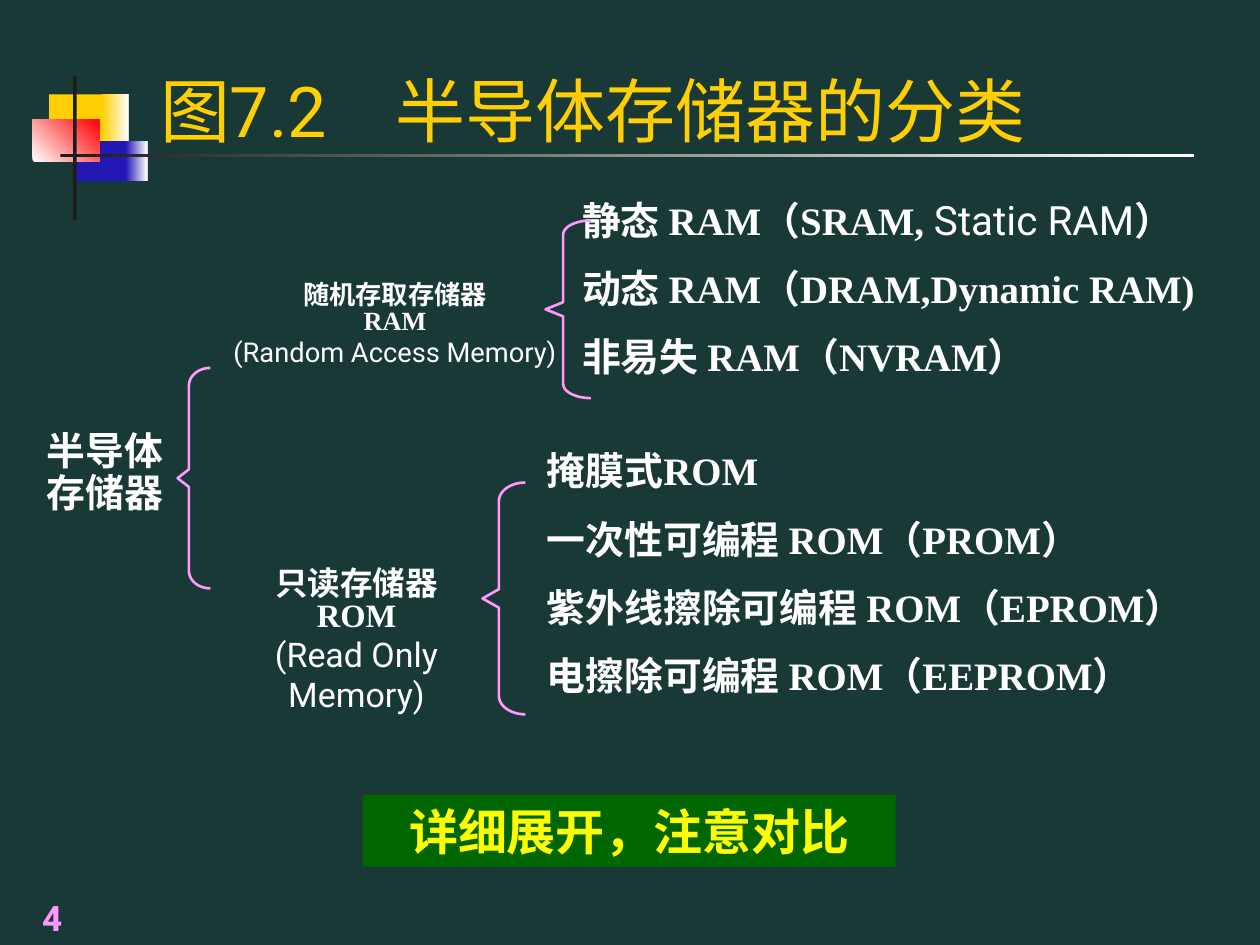
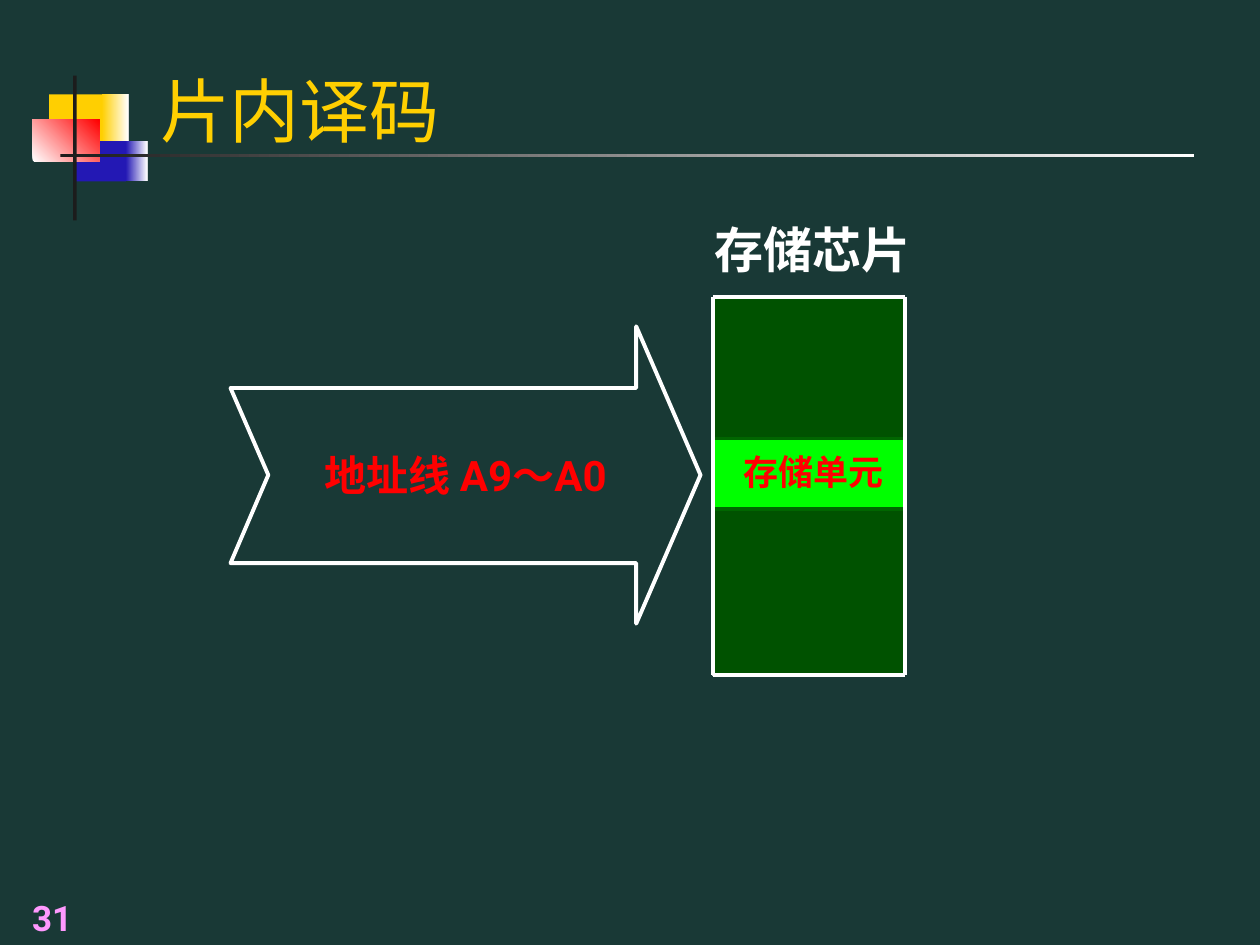
from dataclasses import dataclass
from math import cos, pi, sin
from typing import NamedTuple

from lxml.etree import SubElement
from pptx import Presentation
from pptx.dml.color import RGBColor
from pptx.enum.shapes import MSO_CONNECTOR, MSO_SHAPE
from pptx.enum.text import MSO_ANCHOR, MSO_AUTO_SIZE, PP_ALIGN
from pptx.oxml.ns import qn
from pptx.util import Inches, Pt

BACKGROUND = "193936"
GOLD = "FFCF01"
BLUE = "2318B4"
RED = "FF0000"
BLACK = "1C1C1C"
WHITE = "FFFFFF"
PINK = "FF99FF"
YELLOW = "FFFF00"
GREEN = "006600"
CHIP_GREEN = "005200"
CELL_GREEN = "00FF00"

SANS = "Roboto"
SERIF = "Times New Roman"
CHINESE = "Noto Sans CJK SC"
DEFAULT_INSETS = (0.1, 0.05)
TIGHT_INSETS = (0.01, 0.01)


class Box(NamedTuple):
    left: float
    top: float
    width: float
    height: float

    def lengths(self):
        return [Inches(value) for value in self]


@dataclass
class Band:
    box: Box
    start: str
    end: str = ""
    angle: float = 0


@dataclass
class Brace:
    tip: float
    spine: float
    right: float
    top: float
    bottom: float


@dataclass
class Category:
    box: Box
    chinese: tuple
    size: float
    english: str = ""
    english_size: float = 0
    line_spacing: float = 0.8


@dataclass
class Listing:
    box: Box
    items: tuple


BANDS = (
    Band(Box(0.39, 0.75, 0.46, 0.37), GOLD),
    Band(Box(0.81, 0.75, 0.21, 0.37), GOLD, WHITE),
    Band(Box(0.59, 1.12, 0.41, 0.32), BLUE),
    Band(Box(1, 1.12, 0.17, 0.32), BLUE, WHITE),
    Band(Box(0.26, 0.95, 0.53, 0.33), WHITE, RED, 45),
    Band(Box(0.58, 0.6, 0.03, 1.15), BLACK),
    Band(Box(0.48, 1.22, 9, 0.03), BLACK, WHITE),
)

BRACES = (
    Brace(1.41, 1.5, 1.67, 2.92, 4.67),
    Brace(3.83, 3.96, 4.17, 3.83, 5.67),
    Brace(4.33, 4.47, 4.69, 1.75, 3.16),
)

CATEGORIES = (
    Category(Box(0, 3.42, 1.67, 0.81), ("半导体", "存储器"), 22.2, line_spacing=0.9),
    Category(Box(1.92, 4.52, 1.82, 1.35), ("只读存储器", "ROM"), 18.6,
             "(Read Only Memory)", 19.4),
    Category(Box(1.83, 2.25, 2.61, 1.19), ("随机存取存储器", "RAM"), 15,
             "(Random Access Memory)", 15.6),
)

# An item is a sequence of (text, is_plain) runs.
LISTINGS = (
    Listing(Box(4.61, 1.58, 5.39, 1.85), (
        (("静态 RAM（SRAM, ", False), ("Static RAM", True), ("）", False)),
        (("动态 RAM（DRAM,Dynamic RAM)", False),),
        (("非易失 RAM（NVRAM）", False),),
    )),
    Listing(Box(4.33, 3.58, 5.67, 2.11), (
        (("掩膜式ROM", False),),
        (("一次性可编程 ROM（PROM）", False),),
        (("紫外线擦除可编程 ROM（EPROM）", False),),
        (("电擦除可编程 ROM（EEPROM）", False),),
    )),
)


def rgb(color: str) -> RGBColor:
    return RGBColor.from_string(color)


def write(paragraph, text: str, *, size: float, color: str = WHITE, font: str = SANS,
          bold: bool = True, align=PP_ALIGN.LEFT, line_spacing: float = 1,
          space_before: float = 0) -> None:
    """Append a formatted run and set the format of its paragraph."""
    paragraph.alignment = align
    paragraph.line_spacing = line_spacing
    paragraph.space_before = Pt(space_before)
    run = paragraph.add_run()
    run.text = text
    run.font.size = Pt(size)
    run.font.bold = bold
    run.font.name = font
    run.font.color.rgb = rgb(color)
    SubElement(run.font._element, qn("a:ea")).set("typeface", CHINESE)


def next_paragraph(frame):
    first = frame.paragraphs[0]
    return frame.add_paragraph() if first.runs else first


def set_frame(frame, insets=DEFAULT_INSETS, anchor=MSO_ANCHOR.TOP, wrap: bool = True) -> None:
    frame.margin_left = frame.margin_right = Inches(insets[0])
    frame.margin_top = frame.margin_bottom = Inches(insets[1])
    frame.vertical_anchor = anchor
    frame.word_wrap = wrap
    frame.auto_size = MSO_AUTO_SIZE.NONE


def add_text_frame(slide, box: Box, **layout):
    frame = slide.shapes.add_textbox(*box.lengths()).text_frame
    set_frame(frame, **layout)
    return frame


def add_rectangle(slide, box: Box, color: str, line: str = ""):
    shape = slide.shapes.add_shape(MSO_SHAPE.RECTANGLE, *box.lengths())
    shape.shadow.inherit = False
    shape.fill.solid()
    shape.fill.fore_color.rgb = rgb(color)
    if line:
        shape.line.color.rgb = rgb(line)
        shape.line.width = Pt(0.75)
    else:
        shape.line.fill.background()
    return shape


def add_band(slide, band: Band) -> None:
    shape = add_rectangle(slide, band.box, band.start)
    if band.end:
        shape.fill.gradient()
        shape.fill.gradient_angle = band.angle
        for stop, color, position in zip(shape.fill.gradient_stops,
                                         (band.start, band.end), (0, 1)):
            stop.color.rgb = rgb(color)
            stop.position = position


def add_outline(slide, points: list, color: str, width: float, close: bool):
    """Draw an unfilled outline through points given in inches."""
    vertices = [(Inches(x), Inches(y)) for x, y in points]
    builder = slide.shapes.build_freeform(*vertices[0])
    builder.add_line_segments(vertices[1:], close=close)
    shape = builder.convert_to_shape()
    shape.shadow.inherit = False
    shape.fill.background()
    shape.line.color.rgb = rgb(color)
    shape.line.width = Pt(width)
    return shape


def add_line(slide, start: tuple, end: tuple, color: str) -> None:
    line = slide.shapes.add_connector(
        MSO_CONNECTOR.STRAIGHT, *(Inches(value) for value in start + end))
    line.line.color.rgb = rgb(color)
    line.line.width = Pt(2.25)
    SubElement(line._element.spPr, qn("a:effectLst"))


def add_brace(slide, brace: Brace, steps: int = 12) -> None:
    """Draw a left brace: quarter ellipses at both ends and a notch in the middle."""
    arc_width = brace.right - brace.spine
    arc_height = 0.08 * (brace.bottom - brace.top)
    middle = (brace.top + brace.bottom) / 2
    angles = [pi / 2 * step / steps for step in range(steps + 1)]
    upper = [(brace.right - arc_width * sin(angle),
              brace.top + arc_height * (1 - cos(angle))) for angle in angles]
    upper.append((brace.spine, middle - arc_height / 2))
    lower = [(x, 2 * middle - y) for x, y in reversed(upper)]
    add_outline(slide, upper + [(brace.tip, middle)] + lower, PINK, 1.5, close=False)


def add_base_slide(presentation, number: int):
    """Add a slide with the shared bands, page number and an empty title."""
    slide = presentation.slides.add_slide(presentation.slide_layouts[5])
    for band in BANDS:
        add_band(slide, band)
    frame = add_text_frame(slide, Box(0, 7, 0.83, 0.5), anchor=MSO_ANCHOR.BOTTOM)
    write(frame.paragraphs[0], str(number), size=20, color=PINK, align=PP_ALIGN.CENTER)
    title = slide.shapes.title
    title.left, title.top, title.width, title.height = Box(1.17, 0.33, 8.52, 0.92).lengths()
    set_frame(title.text_frame, anchor=MSO_ANCHOR.BOTTOM)
    # Bring the title in front of the bands.
    slide.shapes._spTree.append(title._element)
    return slide


def write_title(slide, text: str, tab: float = 0) -> None:
    paragraph = slide.shapes.title.text_frame.paragraphs[0]
    if tab:
        tabs = SubElement(paragraph._p.get_or_add_pPr(), qn("a:tabLst"))
        SubElement(tabs, qn("a:tab"), pos=str(Inches(tab)), algn="l")
    write(paragraph, text, size=40, color=GOLD, bold=False)


def add_category(slide, category: Category) -> None:
    frame = add_text_frame(slide, category.box, insets=TIGHT_INSETS)
    for text in category.chinese:
        write(next_paragraph(frame), text, size=category.size, font=SERIF,
              align=PP_ALIGN.CENTER, line_spacing=category.line_spacing)
    if category.english:
        write(next_paragraph(frame), category.english, size=category.english_size,
              bold=False, align=PP_ALIGN.CENTER)


def add_listing(slide, listing: Listing) -> None:
    frame = add_text_frame(slide, listing.box, insets=TIGHT_INSETS)
    for index, runs in enumerate(listing.items):
        paragraph = next_paragraph(frame)
        for text, is_plain in runs:
            write(paragraph, text, size=23.1 if is_plain else 22.2,
                  font=SANS if is_plain else SERIF, bold=not is_plain,
                  line_spacing=0.9, space_before=15 if index else 0)


def build_classification(presentation) -> None:
    slide = add_base_slide(presentation, 4)
    write_title(slide, "图7.2\t半导体存储器的分类", tab=1.87)
    for category in CATEGORIES:
        add_category(slide, category)
    for listing in LISTINGS:
        add_listing(slide, listing)
    for brace in BRACES:
        add_brace(slide, brace)
    note = add_rectangle(slide, Box(2.88, 6.31, 4.23, 0.57), GREEN)
    set_frame(note.text_frame)
    write(note.text_frame.paragraphs[0], "详细展开，注意对比", size=28, color=YELLOW,
          font=CHINESE, align=PP_ALIGN.CENTER)


def build_decoding(presentation) -> None:
    slide = add_base_slide(presentation, 31)
    write_title(slide, "片内译码")

    tail, notch, neck, tip = 1.83, 2.13, 5.05, 5.56
    head_top, shaft_top, middle, shaft_bottom, head_bottom = 2.59, 3.08, 3.77, 4.47, 4.95
    arrow = add_outline(slide, [
        (tail, shaft_top), (neck, shaft_top), (neck, head_top), (tip, middle),
        (neck, head_bottom), (neck, shaft_bottom), (tail, shaft_bottom), (notch, middle),
    ], WHITE, 2.25, close=True)
    set_frame(arrow.text_frame, anchor=MSO_ANCHOR.MIDDLE, wrap=False)
    write(arrow.text_frame.paragraphs[0], "地址线 A9～A0", size=24, color=RED,
          align=PP_ALIGN.CENTER)

    left, right = 5.66, 7.18
    levels = (2.36, 3.48, 4.04, 5.36)
    fills = ((CHIP_GREEN, WHITE), (CELL_GREEN, ""), (CHIP_GREEN, WHITE))
    for top, bottom, (color, line) in zip(levels, levels[1:], fills):
        add_rectangle(slide, Box(left, top, right - left, bottom - top), color, line)
    for level, color in zip(levels, (WHITE, GREEN, GREEN, WHITE)):
        add_line(slide, (left, level), (right, level), color)
    for side in (left, right):
        add_line(slide, (side, levels[0]), (side, levels[-1]), WHITE)

    for box, text, size, color in (
        (Box(5.57, 1.69, 1.75, 0.57), "存储芯片", 28, WHITE),
        (Box(5.8, 3.53, 1.31, 0.44), "存储单元", 20, RED),
    ):
        frame = add_text_frame(slide, box, wrap=False)
        write(frame.paragraphs[0], text, size=size, color=color)


def main() -> None:
    presentation = Presentation()
    presentation.slide_width, presentation.slide_height = Inches(10), Inches(7.5)
    background = presentation.slide_master.background.fill
    background.solid()
    background.fore_color.rgb = rgb(BACKGROUND)
    build_classification(presentation)
    build_decoding(presentation)
    presentation.save("out.pptx")


if __name__ == "__main__":
    main()
